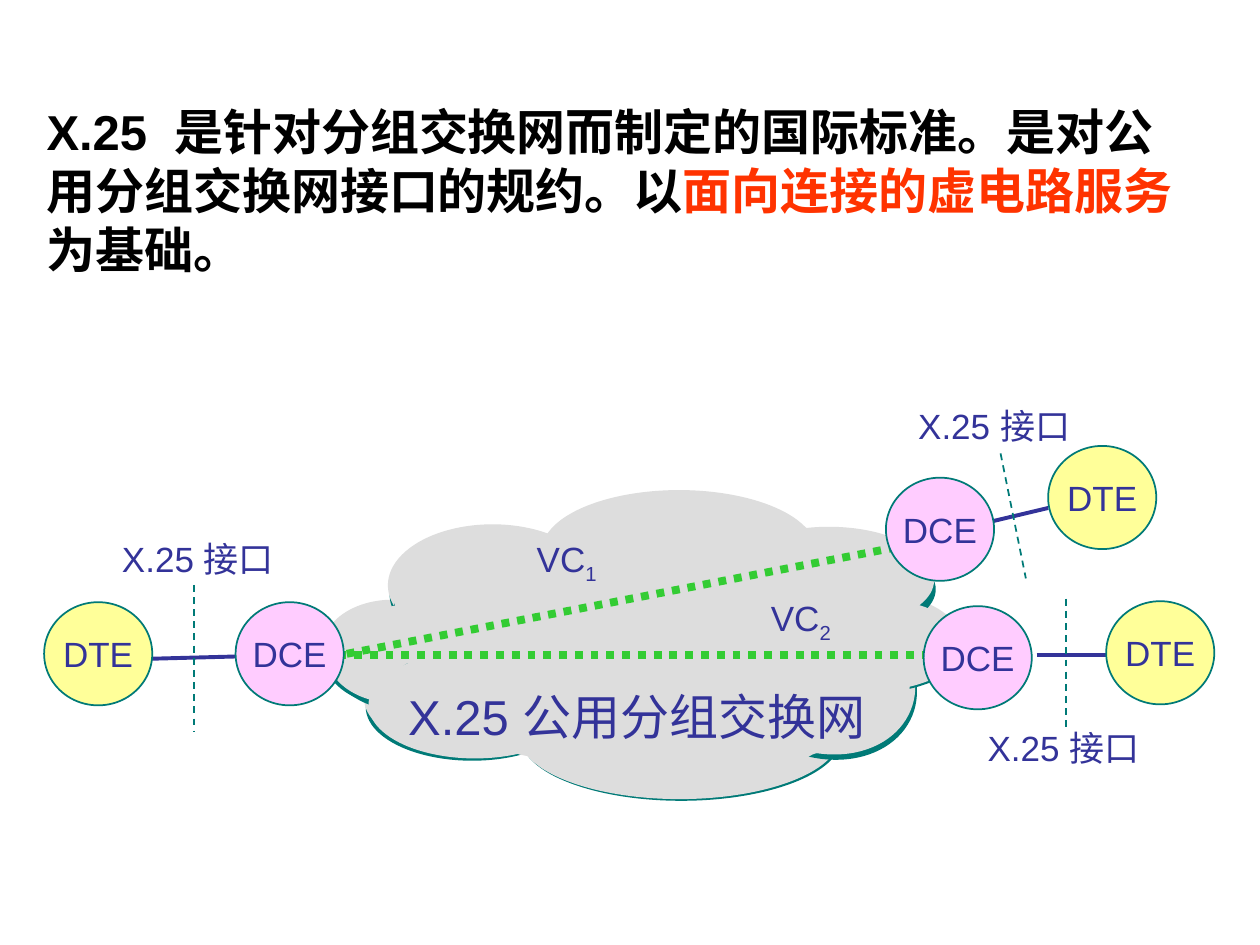
from dataclasses import dataclass

from lxml import etree
from pptx import Presentation
from pptx.dml.color import RGBColor
from pptx.enum.dml import MSO_LINE
from pptx.enum.shapes import MSO_CONNECTOR, MSO_SHAPE
from pptx.enum.text import MSO_ANCHOR, MSO_AUTO_SIZE, PP_ALIGN
from pptx.oxml.ns import qn
from pptx.util import Cm, Pt

OVAL = MSO_SHAPE.OVAL
LINE = MSO_CONNECTOR.STRAIGHT
DOT, DASH = MSO_LINE.ROUND_DOT, MSO_LINE.DASH
MID, CENTER = MSO_ANCHOR.MIDDLE, PP_ALIGN.CENTER
FIT, FIXED = MSO_AUTO_SIZE.SHAPE_TO_FIT_TEXT, MSO_AUTO_SIZE.NONE


@dataclass(frozen=True)
class Theme:
    font: str = "Arial"
    body: int = 28
    label: int = 20
    ink: str = "000000"
    alert: str = "FF3300"
    navy: str = "333399"
    teal: str = "007A77"
    green: str = "33CC33"
    cloud: str = "DDDDDD"
    dte: str = "FFFF99"
    dce: str = "FFCCFF"


THEME = Theme()

# Cloud puffs: left, top, width, height in cm, then the shadow (points, degrees)
# in the back layer and in the front layer
SOFT, THIN = (5.1, 79), (1.4, 45)
PUFFS = {
    "east": (15.29, 11.91, 4.06, 1.91, SOFT, THIN),
    "south": (10.46, 13.54, 6.48, 2.57, THIN, None),
    "low": (7.34, 13.0, 4.29, 2.16, SOFT, (8.9, 333)),
    "west": (6.5, 12.09, 2.82, 1.96, SOFT, (5, 53)),
    "left": (7.82, 10.57, 4.22, 2.46, SOFT, SOFT),
    "north": (10.92, 9.88, 5.54, 2.46, SOFT, SOFT),
    "right": (14.68, 10.62, 4.06, 1.91, SOFT, SOFT),
    "core": (8.81, 11.35, 8.36, 3.2, SOFT, SOFT),
    "tilt": (14.45, 11.96, 4.06, 3.18, (3.2, 72), None),
}
FRONT = ("north", "left", "west", "right", "east", "core", "low")
SHIFT = (0.09, 0.13)

# Outline of the cloud's centre, in hundredths of a cm
CORE = [
    (782, 1285), (841, 1247), (823, 1242), (800, 1250), (810, 1240),
    (828, 1229), (853, 1209), (894, 1171), (904, 1161), (930, 1158),
    (993, 1133), (1024, 1120), (1041, 1110), (1092, 1102), (1151, 1087),
    (1374, 1102), (1557, 1158), (1593, 1173), (1679, 1209), (1732, 1237),
    (1768, 1265), (1781, 1285), (1803, 1303), (1821, 1334), (1834, 1354),
    (1834, 1433), (1821, 1453), (1786, 1460), (1740, 1483), (1674, 1509),
    (1638, 1521), (1598, 1544), (1105, 1532), (1046, 1521), (1006, 1483),
    (958, 1443), (930, 1410), (871, 1372), (823, 1339), (795, 1308),
    (787, 1295),
]


def rgb(code):
    return RGBColor.from_string(code)


def apply(obj, form):
    for name, value in form.items():
        setattr(obj, name, value)


def paint(shape, fill, edge=None):
    shape.shadow.inherit = False
    shape.fill.solid()
    shape.fill.fore_color.rgb = rgb(fill)
    if edge:
        shape.line.color.rgb = rgb(edge)
        shape.line.width = Pt(1)
    else:
        shape.line.fill.background()


def write(frame, runs, size, **form):
    """Each run is (text, colour) or (text, colour, baseline)."""
    apply(frame, form)
    para = frame.paragraphs[0]
    for text, color, *base in runs:
        run = para.add_run()
        run.text = text
        apply(run.font, {"name": THEME.font, "size": Pt(size)})
        run.font.color.rgb = rgb(color)
        if base:
            run._r.get_or_add_rPr().set("baseline", str(base[0]))
    return para


def add_puff(group, box, shade, turn=0):
    puff = group.shapes.add_shape(OVAL, *map(Cm, box))
    paint(puff, THEME.cloud)
    puff.rotation = turn
    dist, angle = shade
    effect = puff._element.spPr.find(qn("a:effectLst"))
    cast = etree.SubElement(effect, qn("a:outerShdw"), blurRad="0",
                            dist=str(int(Pt(dist))), dir=str(angle * 60000),
                            algn="ctr", rotWithShape="0")
    etree.SubElement(cast, qn("a:srgbClr"), val=THEME.teal)


def add_cloud(slide):
    group = slide.shapes.add_group_shape()
    for name, (*box, back, _) in PUFFS.items():
        add_puff(group, box, back, 22.3 if name == "tilt" else 0)
    for name in FRONT:
        left, top, wide, high, _, shade = PUFFS[name]
        add_puff(group, (left + SHIFT[0], top + SHIFT[1], wide, high), shade)
    path = group.shapes.build_freeform(*CORE[0], scale=Cm(0.01))
    path.add_line_segments(CORE[1:], close=True)
    paint(path.convert_to_shape(), THEME.cloud)


def add_line(slide, ends, color, width, dash=None):
    line = slide.shapes.add_connector(LINE, *map(Cm, ends))
    line.line.color.rgb = rgb(color)
    apply(line.line, {"width": Pt(width), "dash_style": dash})
    etree.SubElement(line._element.spPr, qn("a:effectLst"))


def add_label(slide, box, runs, size=THEME.label):
    area = slide.shapes.add_textbox(*map(Cm, box))
    return write(area.text_frame, runs, size, word_wrap=True, auto_size=FIT)


def add_node(slide, left, top, text):
    node = slide.shapes.add_shape(OVAL, Cm(left), Cm(top), Cm(2.18), Cm(2.08))
    paint(node, THEME.dte if text == "DTE" else THEME.dce, THEME.teal)
    para = write(node.text_frame, [(text, THEME.navy)], THEME.label,
                 word_wrap=False, auto_size=FIXED, vertical_anchor=MID)
    para.alignment = CENTER


def main():
    deck = Presentation()
    apply(deck, {"slide_width": Cm(25.4), "slide_height": Cm(19.05)})
    slide = deck.slides.add_slide(deck.slide_layouts[6])
    add_cloud(slide)

    # Virtual circuits, access links and interface borders
    for ends in ((6.5, 13.21, 19.71, 13.21), (6.99, 13.18, 18.75, 10.9)):
        add_line(slide, ends, THEME.green, 4.5, DOT)
    for ends in ((20.9, 13.21, 22.5, 13.21), (19.66, 10.59, 21.13, 10.24),
                 (3.02, 13.28, 4.9, 13.23)):
        add_line(slide, ends, THEME.navy, 2.25)
    for ends in ((21.49, 12.07, 21.49, 14.66), (20.17, 9.14, 20.68, 11.66),
                 (3.91, 11.79, 3.91, 14.76)):
        add_line(slide, ends, THEME.teal, 1, DASH)

    # Labels, a little wider than their text so that each stays on one line
    for left, top in ((19.66, 14.53), (18.26, 8.03), (2.21, 10.72)):
        add_label(slide, (left, top, 3.95, 1.09), [("X.25 接口", THEME.navy)])
    add_label(slide, (7.98, 13.72, 10.15, 1.42),
              [("X.25 公用分组交换网", THEME.navy)], THEME.body)
    for left, top, num in ((15.29, 11.91, "2"), (10.57, 10.72, "1")):
        add_label(slide, (left, top, 1.95, 1.22),
                  [("VC", THEME.navy), (num, THEME.navy, -25000)])

    # Terminals and network nodes
    for node in ((22.3, 12.12, "DTE"), (21.13, 8.99, "DTE"),
                 (18.62, 12.22, "DCE"), (17.86, 9.63, "DCE"),
                 (4.75, 12.14, "DCE"), (0.89, 12.14, "DTE")):
        add_node(slide, *node)

    # Definition
    para = add_label(slide, (0.69, 1.93, 23.6, 5.61), [
        ("X.25  是针对分组交换网而制定的国际标准。是对公用分组交换网接口的规约。以",
         THEME.ink),
        ("面向连接的虚电路服务", THEME.alert),
        ("为基础。", THEME.ink),
    ], THEME.body)
    for run in para.runs:
        run.font.bold = True

    deck.save("out.pptx")


if __name__ == "__main__":
    main()
